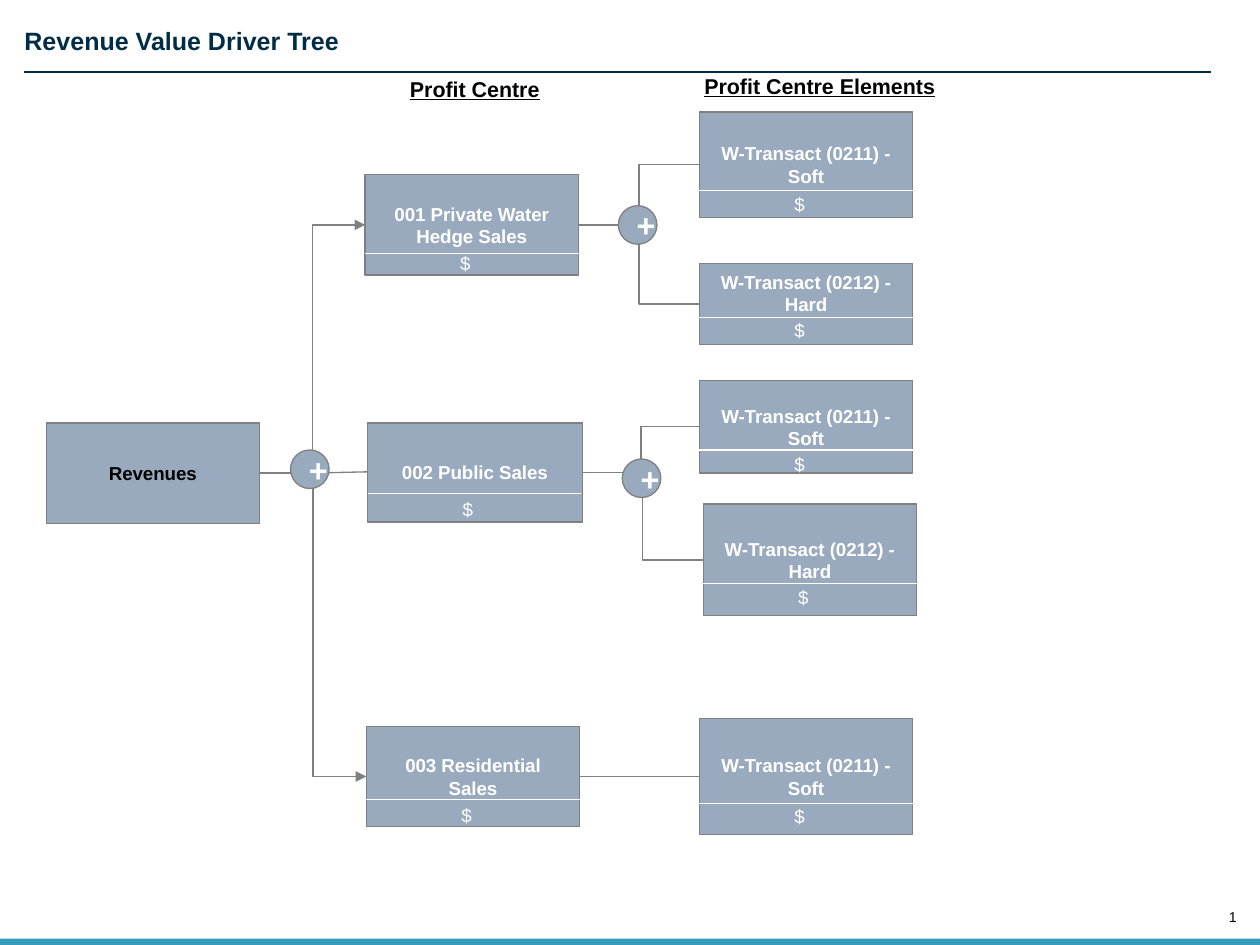
import pptx
import pptx.dml.color
import pptx.enum.shapes
import pptx.enum.text
import pptx.oxml.ns
import pptx.util
from dataclasses import dataclass
from lxml import etree

# Content: name -> (text, left, top, width, height, divider y, value top), in px
ROOT = ("Revenues", 36, 329, 166, 78)
PROFIT_CENTRES = {
    "private": ("001 Private Water Hedge Sales", 284, 136, 166, 78, 197, 191),
    "public": ("002 Public Sales", 286, 329, 167, 77, 384, 382),
    "residential": ("003 Residential Sales", 285, 565, 166, 78, 622, 620),
}
ELEMENTS = {
    "private soft": ("W-Transact (0211) - Soft", 544, 87, 166, 82, 148, 145),
    "private hard": ("W-Transact (0212) - Hard", 544, 205, 166, 63, 247, 243),
    "public soft": ("W-Transact (0211) - Soft", 544, 296, 166, 72, 350, 347),
    "public hard": ("W-Transact (0212) - Hard", 547, 392, 166, 87, 454, 451),
    "residential soft": ("W-Transact (0211) - Soft", 544, 559, 166, 90, 625, 621),
}
RAISED_LABELS = {"private hard": 22}  # bottom inset that lifts the label
BRANCHES = [  # parent, child, arrowhead
    ("root", "private", True), ("root", "residential", True),
    ("private", "private soft", False), ("private", "private hard", False),
    ("public", "public soft", False), ("public", "public hard", False),
]
HEADINGS = [("Profit Centre", 309, 54, 196, 30),
            ("Profit Centre Elements", 538, 52, 219, 30)]
OPERATORS = [(226, 350), (481, 160), (484, 357)]
OPERATOR_SIZE = 30
VALUE_OFFSET, VALUE_WIDTH, VALUE_HEIGHT = 64, 103, 29
CENTRE_DIVIDER, ELEMENT_DIVIDER = 166, 173
LEFT_SITE, RIGHT_SITE = 1, 3


@dataclass(frozen=True)
class Theme:
    font: str = "Arial"
    box: str = "99AABE"
    line: str = "808080"
    navy: str = "002C46"
    footer: str = "379BBD"
    black: str = "000000"
    white: str = "FFFFFF"
    line_width: float = 0.75
    number_size: float = 8
    body_size: float = 10.5
    heading_size: float = 12
    title_size: float = 14
    operator_size: float = 18


THEME = Theme()
SHAPES = pptx.enum.shapes.MSO_SHAPE
CONNECTORS = pptx.enum.shapes.MSO_CONNECTOR
ALIGN = pptx.enum.text.PP_ALIGN
ANCHOR = pptx.enum.text.MSO_ANCHOR


def px(length):
    return pptx.util.Emu(length * 9144)


def rgb(value):
    return pptx.dml.color.RGBColor.from_string(value)


def write(shape, text, size, color, bold=False, underline=False, align=ALIGN.LEFT):
    paragraph = shape.text_frame.paragraphs[0]
    paragraph.alignment = align
    run = paragraph.add_run()
    run.text = text
    run.font.name = THEME.font
    run.font.size = pptx.util.Pt(size)
    run.font.bold = bold
    run.font.underline = underline
    run.font.color.rgb = rgb(color)


def add_label(slide, text, left, top, width, height, size, color, inset=True, **style):
    label = slide.shapes.add_textbox(px(left), px(top), px(width), px(height))
    frame = label.text_frame
    frame.word_wrap = True
    if not inset:
        frame.margin_left = frame.margin_right = 0
        frame.margin_top = frame.margin_bottom = 0
    write(label, text, size, color, **style)
    return label


def add_filled(slide, kind, left, top, width, height, fill, outline=None):
    shape = slide.shapes.add_shape(kind, px(left), px(top), px(width), px(height))
    shape.shadow.inherit = False
    shape.fill.solid()
    shape.fill.fore_color.rgb = rgb(fill)
    if outline:
        shape.line.color.rgb = rgb(outline)
        shape.line.width = pptx.util.Pt(THEME.line_width)
    else:
        shape.line.fill.background()
    return shape


def add_box(slide, text, left, top, width, height, color):
    box = add_filled(slide, SHAPES.RECTANGLE, left, top, width, height,
                     THEME.box, THEME.line)
    box.text_frame.vertical_anchor = ANCHOR.MIDDLE
    write(box, text, THEME.body_size, color, bold=True, align=ALIGN.CENTER)
    return box


def add_line(slide, x1, y1, x2, y2, color, kind=CONNECTORS.STRAIGHT, arrow=False):
    line = slide.shapes.add_connector(kind, px(x1), px(y1), px(x2), px(y2))
    line.line.color.rgb = rgb(color)
    line.line.width = pptx.util.Pt(THEME.line_width)
    qn = pptx.oxml.ns.qn
    if arrow:
        etree.SubElement(line.line._get_or_add_ln(), qn("a:tailEnd"), type="triangle")
    etree.SubElement(line._element.spPr, qn("a:effectLst"))
    return line


def join(slide, parent, child, kind, arrow=False):
    line = add_line(slide, 0, 0, 0, 0, THEME.line, kind, arrow)
    line.begin_connect(parent, RIGHT_SITE)
    line.end_connect(child, LEFT_SITE)


def main():
    presentation = pptx.Presentation()
    presentation.slide_width, presentation.slide_height = px(980), px(735)
    slide = presentation.slides.add_slide(presentation.slide_layouts[6])

    # Slide frame: footer, number, title and rule
    add_filled(slide, SHAPES.RECTANGLE, 0, 730, 980, 5, THEME.footer)
    number = add_label(slide, "1", 948, 707, 14, 13, THEME.number_size, THEME.black,
                       inset=False, align=ALIGN.RIGHT)
    number.text_frame.vertical_anchor = ANCHOR.BOTTOM
    add_label(slide, "Revenue Value Driver Tree", 19, 20, 956, 24, THEME.title_size,
              THEME.navy, inset=False, bold=True)
    add_line(slide, 19, 56, 942, 56, THEME.navy)

    # Column headings
    for heading in HEADINGS:
        add_label(slide, *heading, THEME.heading_size, THEME.black,
                  bold=True, underline=True)

    # Boxes of the tree
    nodes = PROFIT_CENTRES | ELEMENTS
    boxes = {"root": add_box(slide, *ROOT, THEME.black)}
    for name, node in nodes.items():
        boxes[name] = add_box(slide, *node[:5], THEME.white)
        if name in RAISED_LABELS:
            boxes[name].text_frame.margin_bottom = px(RAISED_LABELS[name])

    # Branches
    add_line(slide, 286, 367, 240, 368, THEME.line)
    for parent, child, arrow in BRANCHES:
        join(slide, boxes[parent], boxes[child], CONNECTORS.ELBOW, arrow)
    join(slide, boxes["residential"], boxes["residential soft"], CONNECTORS.STRAIGHT)

    # Plus operators on the branches
    for left, top in OPERATORS:
        operator = add_filled(slide, SHAPES.OVAL, left, top, OPERATOR_SIZE,
                              OPERATOR_SIZE, THEME.box, THEME.line)
        operator.text_frame.vertical_anchor = ANCHOR.MIDDLE
        write(operator, "+", THEME.operator_size, THEME.white, bold=True,
              align=ALIGN.CENTER)

    # Dividers and values inside the boxes
    for name, (_, left, _, _, _, divider, value_top) in nodes.items():
        length = CENTRE_DIVIDER if name in PROFIT_CENTRES else ELEMENT_DIVIDER
        add_line(slide, left, divider, left + length, divider, THEME.white)
        add_label(slide, "$", left + VALUE_OFFSET, value_top, VALUE_WIDTH,
                  VALUE_HEIGHT, THEME.body_size, THEME.white)

    presentation.save("out.pptx")


if __name__ == "__main__":
    main()
